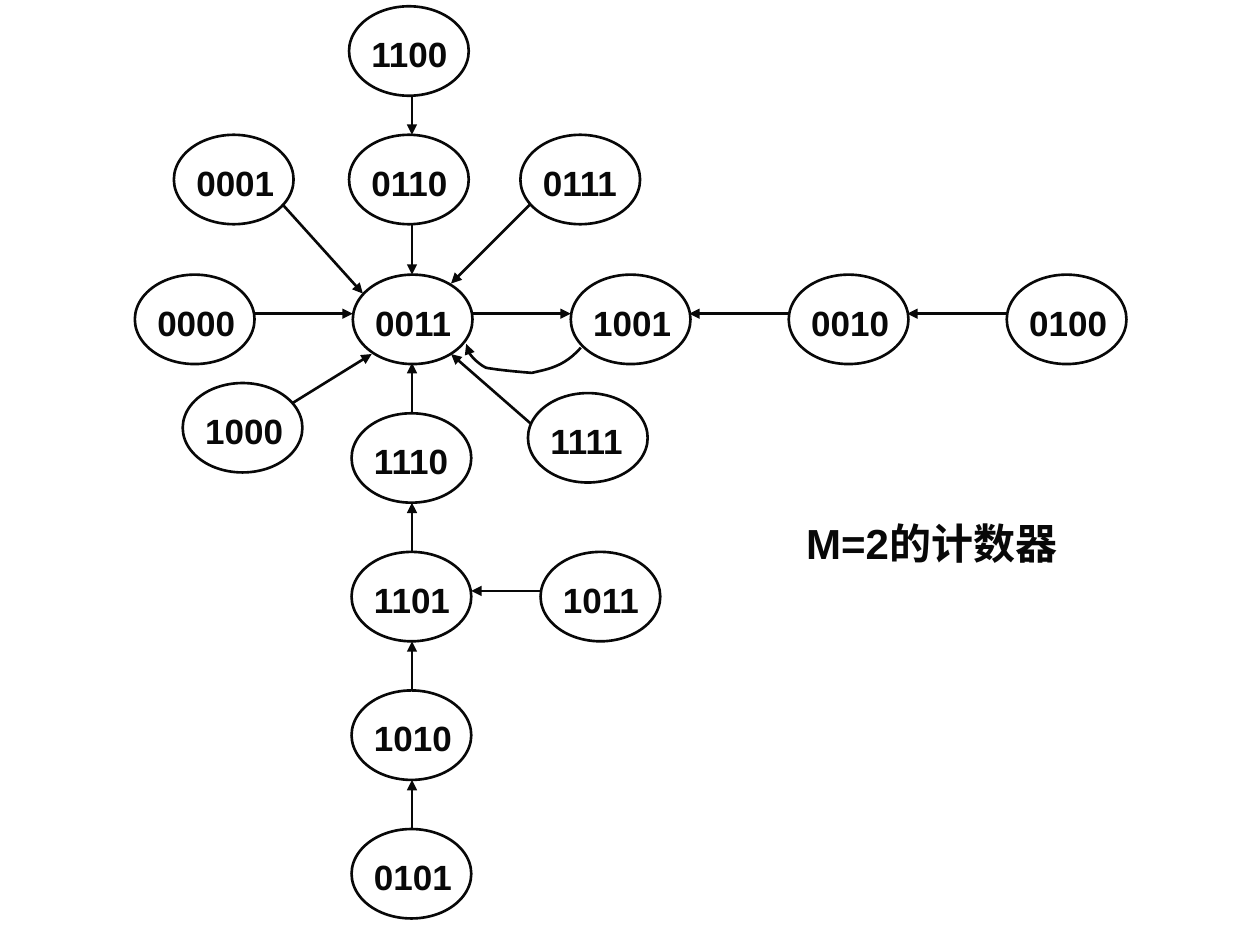
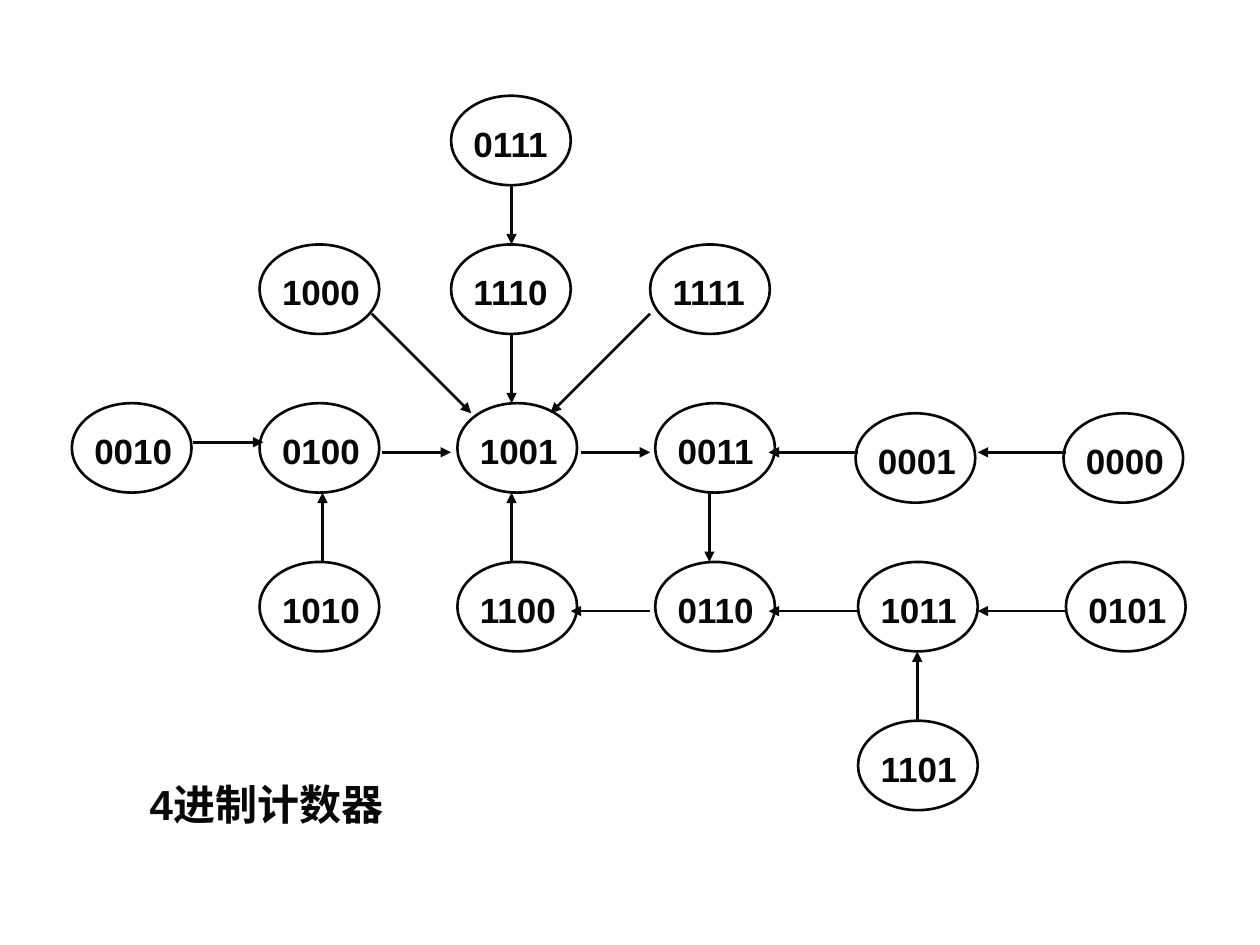
from dataclasses import dataclass
from typing import NamedTuple

from lxml.etree import SubElement
from pptx import Presentation
from pptx.dml.color import RGBColor
from pptx.enum.shapes import MSO_CONNECTOR, MSO_SHAPE
from pptx.enum.text import MSO_AUTO_SIZE
from pptx.oxml.ns import qn
from pptx.util import Inches, Pt


@dataclass(frozen=True)
class Theme:
    ink: RGBColor = RGBColor(0x08, 0x08, 0x08)
    font: str = "Arial"
    state_size: int = 20
    caption_size: int = 24
    line_width: float = 1.5


class State(NamedTuple):
    code: str
    left: float
    top: float


class Arrow(NamedTuple):
    start: tuple[float, float]
    end: tuple[float, float]


class Caption(NamedTuple):
    text: str
    left: float
    top: float
    width: float


class Diagram(NamedTuple):
    states: list[State]
    arrows: list[Arrow]
    curves: list[list[tuple[float, float]]]
    caption: Caption


THEME = Theme()
STATE_WIDTH, STATE_HEIGHT = 0.95, 0.71
LABEL_SHIFT_X, LABEL_SHIFT_Y = 0.08, 0.16
LABEL_WIDTH, LABEL_HEIGHT = 0.97, 0.44
CAPTION_HEIGHT = 0.5
CURVE_STEPS = 12


def row(codes: str, left: float, top: float, step: float) -> list[State]:
    """Place the space-separated codes at equal steps to the right."""
    return [State(code, left + step * i, top) for i, code in enumerate(codes.split())]


def column(codes: str, left: float, top: float, step: float) -> list[State]:
    """Place the space-separated codes at equal steps downwards."""
    return [State(code, left, top + step * i) for i, code in enumerate(codes.split())]


def across(y: float, *spans: tuple[float, float]) -> list[Arrow]:
    return [Arrow((start, y), (end, y)) for start, end in spans]


def upright(x: float, *spans: tuple[float, float]) -> list[Arrow]:
    return [Arrow((x, start), (x, end)) for start, end in spans]


TWO_STATE_COUNTER = Diagram(
    states=[
        *row("0000 0011 1001 0010 0100", 1.07, 2.18, 1.73),
        *column("1100 0110", 2.77, 0.05, 1.02),
        *column("1110 1101 1010 0101", 2.79, 3.28, 1.1),
        State("0001", 1.38, 1.07),
        State("0111", 4.13, 1.07),
        State("1000", 1.45, 3.04),
        State("1111", 4.19, 3.12),
        State("1011", 4.29, 4.38),
    ],
    arrows=[
        *across(2.49, (2.01, 2.8), (3.74, 4.53), (6.26, 5.47), (7.99, 7.2)),
        *across(4.69, (4.29, 3.74)),
        *upright(3.27, (0.76, 1.07), (1.78, 2.18), (3.28, 2.88),
                 (4.38, 3.99), (5.48, 5.09), (6.58, 6.19)),
        Arrow((2.24, 1.62), (2.88, 2.33)),
        Arrow((4.21, 1.62), (3.58, 2.25)),
        Arrow((2.32, 3.2), (2.95, 2.81)),
        Arrow((4.21, 3.36), (3.58, 2.81)),
    ],
    curves=[[
        (4.61, 2.76), (4.48, 2.91), (4.35, 2.93), (4.22, 2.96), (4.1, 2.95),
        (3.98, 2.94), (3.86, 2.92), (3.83, 2.91), (3.7, 2.82), (3.7, 2.73),
    ]],
    caption=Caption("M=2的计数器", 6.3, 4.06, 2.27),
)

FOUR_STATE_COUNTER = Diagram(
    states=[
        State("0010", 0.57, 3.2),
        *row("0100 1001 0011", 2.06, 3.2, 1.57),
        *row("0001 0000", 6.79, 3.28, 1.65),
        *row("1010 1100 0110", 2.06, 4.46, 1.57),
        *row("1011 0101", 6.81, 4.46, 1.65),
        *column("0111 1110", 3.58, 0.76, 1.18),
        State("1000", 2.06, 1.94),
        State("1111", 5.16, 1.94),
        State("1101", 6.81, 5.72),
    ],
    arrows=[
        *across(3.51, (1.53, 2.09)),
        *across(3.59, (3.03, 3.58), (4.61, 5.16), (6.81, 6.1), (8.46, 7.76)),
        *across(4.85, (5.16, 4.53), (6.81, 6.1), (8.46, 7.76)),
        *upright(2.56, (4.46, 3.91)),
        *upright(4.06, (1.47, 1.94), (2.65, 3.2), (4.46, 3.91)),
        *upright(5.63, (3.91, 4.46)),
        *upright(7.28, (5.72, 5.17)),
        Arrow((2.95, 2.49), (3.74, 3.28)),
        Arrow((5.16, 2.49), (4.37, 3.28)),
    ],
    curves=[],
    caption=Caption("4进制计数器", 1.09, 6.13, 2.13),
)


def add_text(slide, text: str, left: float, top: float, width: float, height: float,
             *, size: int, wrap: bool = True) -> None:
    box = slide.shapes.add_textbox(Inches(left), Inches(top), Inches(width), Inches(height))
    frame = box.text_frame
    frame.word_wrap = wrap
    frame.auto_size = MSO_AUTO_SIZE.SHAPE_TO_FIT_TEXT
    run = frame.paragraphs[0].add_run()
    run.text = text
    run.font.name = THEME.font
    run.font.size = Pt(size)
    run.font.bold = True
    run.font.color.rgb = THEME.ink


def style_line(shape, arrowhead: bool = False) -> None:
    shape.line.color.rgb = THEME.ink
    shape.line.width = Pt(THEME.line_width)
    if arrowhead:
        SubElement(shape.line._get_or_add_ln(), qn("a:tailEnd"), type="triangle")


def add_state(slide, state: State) -> None:
    """Draw an outlined ellipse with its code on top."""
    ellipse = slide.shapes.add_shape(
        MSO_SHAPE.OVAL, Inches(state.left), Inches(state.top),
        Inches(STATE_WIDTH), Inches(STATE_HEIGHT))
    ellipse.shadow.inherit = False
    ellipse.fill.background()
    style_line(ellipse)
    add_text(slide, state.code, state.left + LABEL_SHIFT_X, state.top + LABEL_SHIFT_Y,
             LABEL_WIDTH, LABEL_HEIGHT, size=THEME.state_size)


def add_arrow(slide, arrow: Arrow) -> None:
    connector = slide.shapes.add_connector(
        MSO_CONNECTOR.STRAIGHT, *map(Inches, arrow.start), *map(Inches, arrow.end))
    style_line(connector, arrowhead=True)
    SubElement(connector._element.spPr, qn("a:effectLst"))


def bezier_point(controls: list[tuple[float, float]], t: float) -> tuple[int, int]:
    weights = ((1 - t) ** 3, 3 * t * (1 - t) ** 2, 3 * t ** 2 * (1 - t), t ** 3)
    x, y = (sum(w * value for w, value in zip(weights, axis)) for axis in zip(*controls))
    return Inches(x), Inches(y)


def add_curved_arrow(slide, controls: list[tuple[float, float]]) -> None:
    """Draw joined cubic curves; neighbours share an end point."""
    points = [
        bezier_point(controls[first:first + 4], step / CURVE_STEPS)
        for first in range(0, len(controls) - 1, 3)
        for step in range(1, CURVE_STEPS + 1)
    ]
    builder = slide.shapes.build_freeform(*map(Inches, controls[0]))
    builder.add_line_segments(points, close=False)
    curve = builder.convert_to_shape()
    curve.shadow.inherit = False
    curve.fill.background()
    style_line(curve, arrowhead=True)


def add_diagram(presentation, diagram: Diagram) -> None:
    slide = presentation.slides.add_slide(presentation.slide_layouts[6])
    for state in diagram.states:
        add_state(slide, state)
    for arrow in diagram.arrows:
        add_arrow(slide, arrow)
    for controls in diagram.curves:
        add_curved_arrow(slide, controls)
    caption = diagram.caption
    add_text(slide, caption.text, caption.left, caption.top, caption.width, CAPTION_HEIGHT,
             size=THEME.caption_size, wrap=False)


def main() -> None:
    presentation = Presentation()
    presentation.slide_width = Inches(10)
    presentation.slide_height = Inches(7.5)
    for diagram in (TWO_STATE_COUNTER, FOUR_STATE_COUNTER):
        add_diagram(presentation, diagram)
    presentation.save("out.pptx")


if __name__ == "__main__":
    main()
